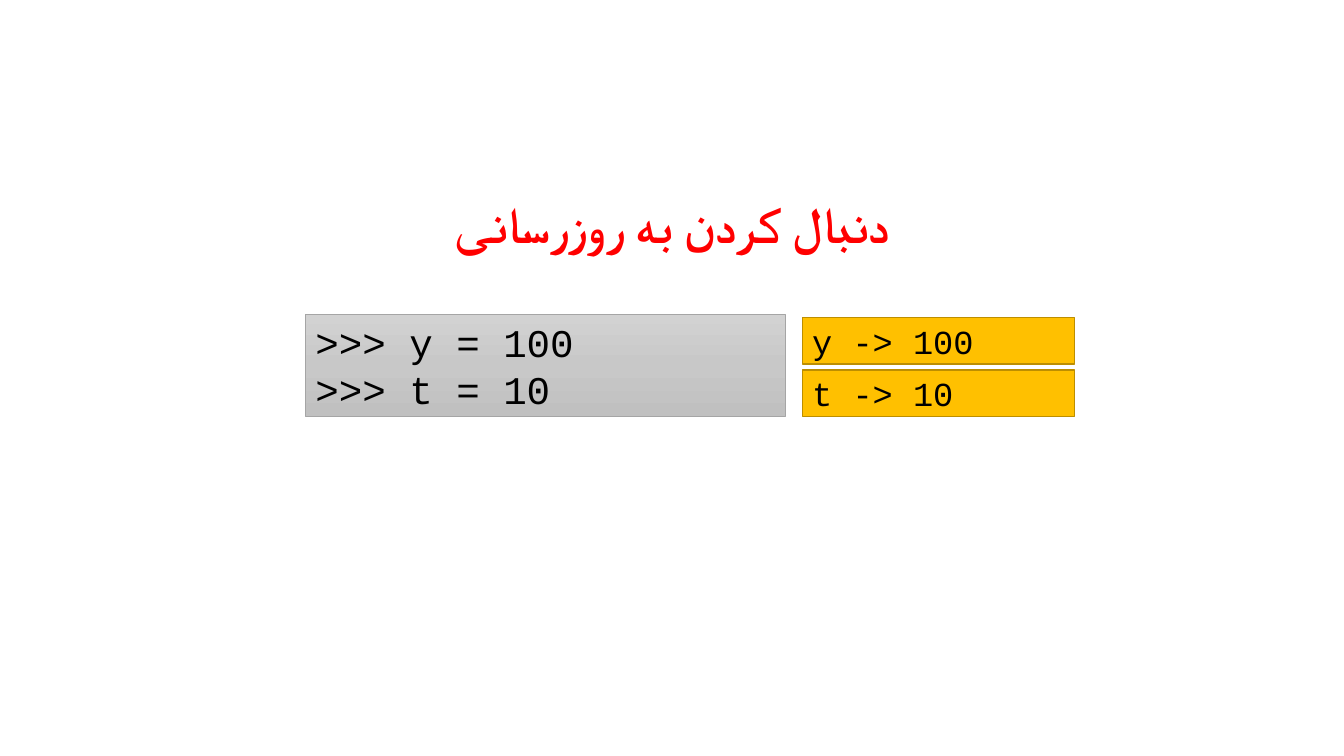
from copy import deepcopy

from lxml import etree
from pptx import Presentation
from pptx.dml.color import RGBColor
from pptx.enum.shapes import MSO_SHAPE
from pptx.enum.text import MSO_ANCHOR, PP_ALIGN
from pptx.oxml.ns import qn
from pptx.util import Cm, Pt

RECT = MSO_SHAPE.RECTANGLE
MIDDLE, BOTTOM = MSO_ANCHOR.MIDDLE, MSO_ANCHOR.BOTTOM
LEFT, CENTER = PP_ALIGN.LEFT, PP_ALIGN.CENTER

COLORS = {
    "title": "FF0000",
    "code": "000000",
    "top": "D2D2D2",
    "mid": "C8C8C8",
    "base": "C0C0C0",
    "edge": "A5A5A5",
    "gold": "FFC000",
    "rim": "BD8E00",
}


def color(name):
    return RGBColor.from_string(COLORS[name])


def add_code(left, top, width, height, lines, size, rim, weight):
    box = slide.shapes.add_shape(RECT, Cm(left), Cm(top), Cm(width), Cm(height))
    box.shadow.inherit = False
    box.line.color.rgb = color(rim)
    box.line.width = Pt(weight)
    frame = box.text_frame
    frame.word_wrap = True
    frame.vertical_anchor = MIDDLE
    for i, line in enumerate(lines):
        para = frame.add_paragraph() if i else frame.paragraphs[0]
        para.alignment = LEFT
        run = para.add_run()
        run.text = line
        run.font.name = "Courier New"
        run.font.size = Pt(size)
        run.font.color.rgb = color("code")
    return box


deck = Presentation()
deck.slide_width, deck.slide_height = Cm(33.87), Cm(19.05)
slide = deck.slides.add_slide(deck.slide_layouts[6])

# Title, written right to left
title = slide.shapes.add_textbox(Cm(6.27), Cm(4.65), Cm(21.34), Cm(1.88))
frame = title.text_frame
frame.word_wrap = True
frame.vertical_anchor = BOTTOM
para = frame.paragraphs[0]
para.alignment = CENTER
para.line_spacing = 0.9
para._p.get_or_add_pPr().set("rtl", "1")
run = para.add_run()
run.text = "دنبال کردن به روزرسانی"
run.font.name = "Calibri"
run.font.size = Pt(36)
run.font.bold = True
run.font.color.rgb = color("title")
etree.SubElement(run._r.get_or_add_rPr(), qn("a:cs")).set("typeface", "Calibri")

# Code panel with a three-stop grey gradient
panel = add_code(7.7, 7.92, 12.09, 2.57, [">>> y = 100", ">>> t = 10"], 28, "edge", 0.5)
panel.fill.gradient()
panel.fill.gradient_angle = 270
stops = panel._element.spPr.find(qn("a:gradFill")).find(qn("a:gsLst"))
stops.insert(1, deepcopy(stops[0]))
shades = zip(panel.fill.gradient_stops, ("top", "mid", "base"), (0, 0.5, 1))
for stop, shade, place in shades:
    stop.color.rgb = color(shade)
    stop.position = place

# Current value of each variable
for i, text in enumerate(["y -> 100", "t -> 10"]):
    value = add_code(20.22, 8 + 1.32 * i, 6.86, 1.17, [text], 24, "rim", 1)
    value.fill.solid()
    value.fill.fore_color.rgb = color("gold")

deck.save("out.pptx")
